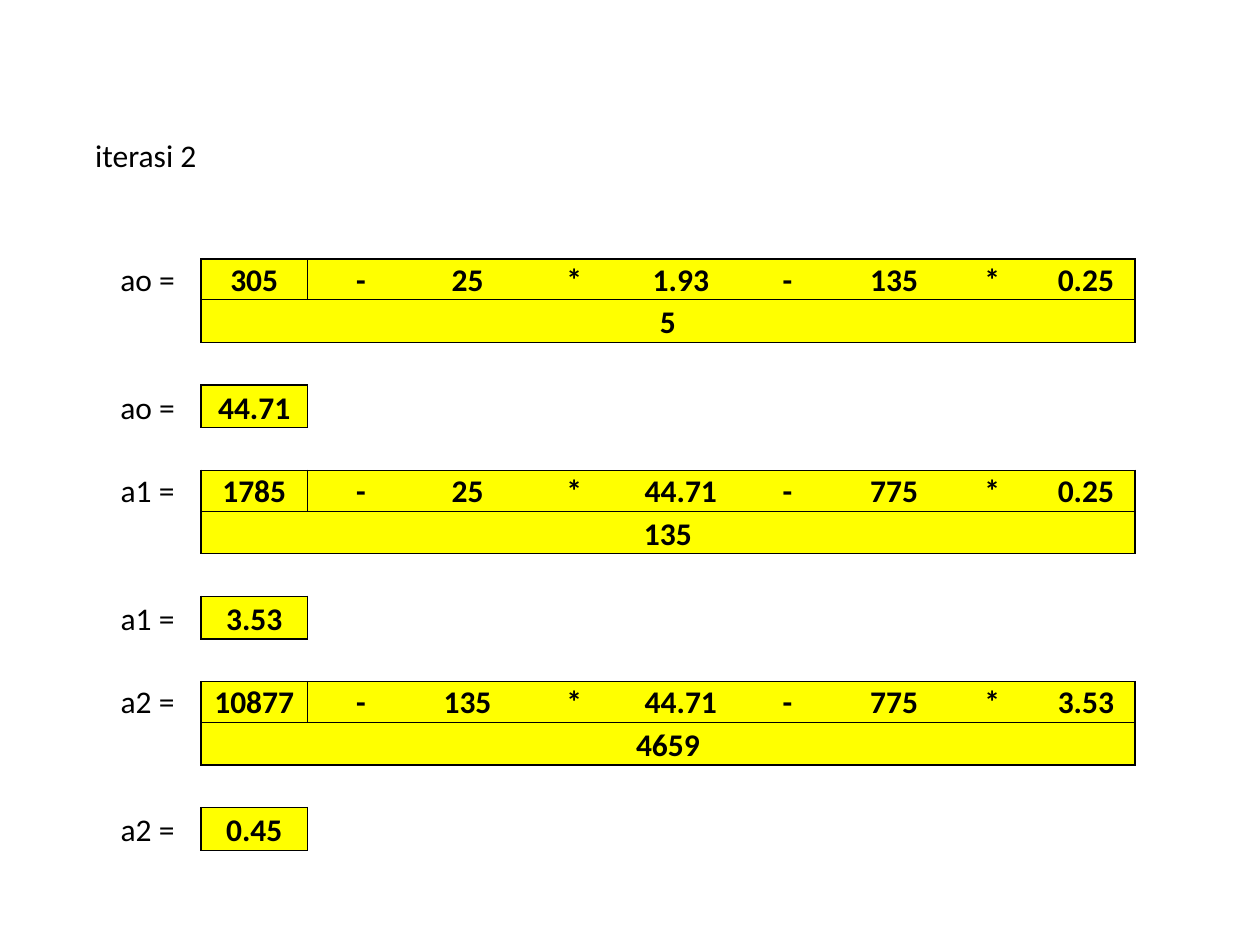
import pptx
import pptx.dml.color
import pptx.enum.text
import pptx.util
from lxml import etree

Cm = pptx.util.Cm
Pt = pptx.util.Pt
ALIGN = pptx.enum.text.PP_ALIGN
BLACK = pptx.dml.color.RGBColor(0, 0, 0)
YELLOW = pptx.dml.color.RGBColor(255, 255, 0)
MAIN = "http://schemas.openxmlformats.org/drawingml/2006/main"
PLAIN = "{2D5ABB26-0587-4C30-8999-92F81FD0307C}"
THICK, THIN = 1, 0.5
WIDTHS = [2.15] * 8 + [1.8, 1.98]
TALL, SHORT = 0.86, 0.82
STEPS = [
    ("ao =", "305 - 25 * 1.93 - 135 * 0.25", "5", "44.71"),
    ("a1 =", "1785 - 25 * 44.71 - 775 * 0.25", "135", "3.53"),
    ("a2 =", "10877 - 135 * 44.71 - 775 * 3.53", "4659", "0.45"),
]
FIRST, PITCH = 3, 5
COUNT = FIRST + PITCH * len(STEPS) - 1


def put(cell, text, bold=False, align=ALIGN.CENTER):
    """Write text into a cell with the given format."""
    par = cell.text_frame.paragraphs[0]
    par.alignment = align
    run = par.add_run()
    run.text = text
    font = run.font
    font.name, font.size, font.bold = "Calibri", Pt(18), bold
    font.color.rgb = BLACK


def edge(cell, **sides):
    """Draw the named sides (L, R, T, B) of a cell, widths in points."""
    props = cell._tc.get_or_add_tcPr()
    for side in "LRTB":
        if side in sides:
            line = etree.SubElement(props, f"{{{MAIN}}}ln{side}", w=str(Pt(sides[side])))
            fill = etree.SubElement(line, f"{{{MAIN}}}solidFill")
            etree.SubElement(fill, f"{{{MAIN}}}srgbClr", val=str(BLACK))


def band(cells, texts, top=THICK, base=THICK):
    """Frame a row of cells in yellow, merging them when there is one text."""
    merge = len(texts) == 1
    for col, cell in enumerate(cells):
        sides = {"T": top, "B": base}
        if col == 0:
            sides["L"] = THICK
        if col == len(cells) - 1 or merge and col == 0:
            sides["R"] = THICK
        edge(cell, **sides)
        cell.fill.solid()
        cell.fill.fore_color.rgb = YELLOW
    if merge and len(cells) > 1:
        cells[0].merge(cells[-1])
    for cell, text in zip(cells, texts):
        put(cell, text, bold=True)


def step(grid, row, name, terms, base, value):
    """Fill one formula, its divisor and its result from the given row."""
    cols = range(1, len(WIDTHS))
    put(grid.cell(row, 0), name)
    band([grid.cell(row, col) for col in cols], terms.split(), base=THIN)
    band([grid.cell(row + 1, col) for col in cols], [base], top=THIN)
    put(grid.cell(row + 3, 0), name)
    band([grid.cell(row + 3, 1)], [value])


def sheet(slide, left, top):
    """Place the whole table with its top left corner at the given point."""
    starts = range(FIRST, COUNT, PITCH)
    highs = [SHORT if row < 2 or row in starts else TALL for row in range(COUNT)]
    frame = slide.shapes.add_table(COUNT, len(WIDTHS), Cm(left), Cm(top),
                                   Cm(sum(WIDTHS)), Cm(sum(highs)))
    grid = frame.table
    grid.first_row = grid.horz_banding = False
    grid._tbl.tblPr.find(f"{{{MAIN}}}tableStyleId").text = PLAIN
    for col, width in zip(grid.columns, WIDTHS):
        col.width = Cm(width)
    for row, high in zip(grid.rows, highs):
        row.height = Cm(high)
    for cell in grid.iter_cells():
        cell.margin_left = cell.margin_right = cell.margin_top = Cm(0.02)
        cell.margin_bottom = 0
        cell.vertical_anchor = pptx.enum.text.MSO_ANCHOR.BOTTOM
    put(grid.cell(0, 0), "iterasi 2", align=ALIGN.LEFT)
    for row, parts in zip(starts, STEPS):
        step(grid, row, *parts)


def main():
    """Build the slide and save it."""
    deck = pptx.Presentation()
    deck.slide_width, deck.slide_height = Cm(25.4), Cm(19.05)
    slide = deck.slides.add_slide(deck.slide_layouts[6])
    sheet(slide, 1.9, 2.72)
    deck.save("out.pptx")


if __name__ == "__main__":
    main()
